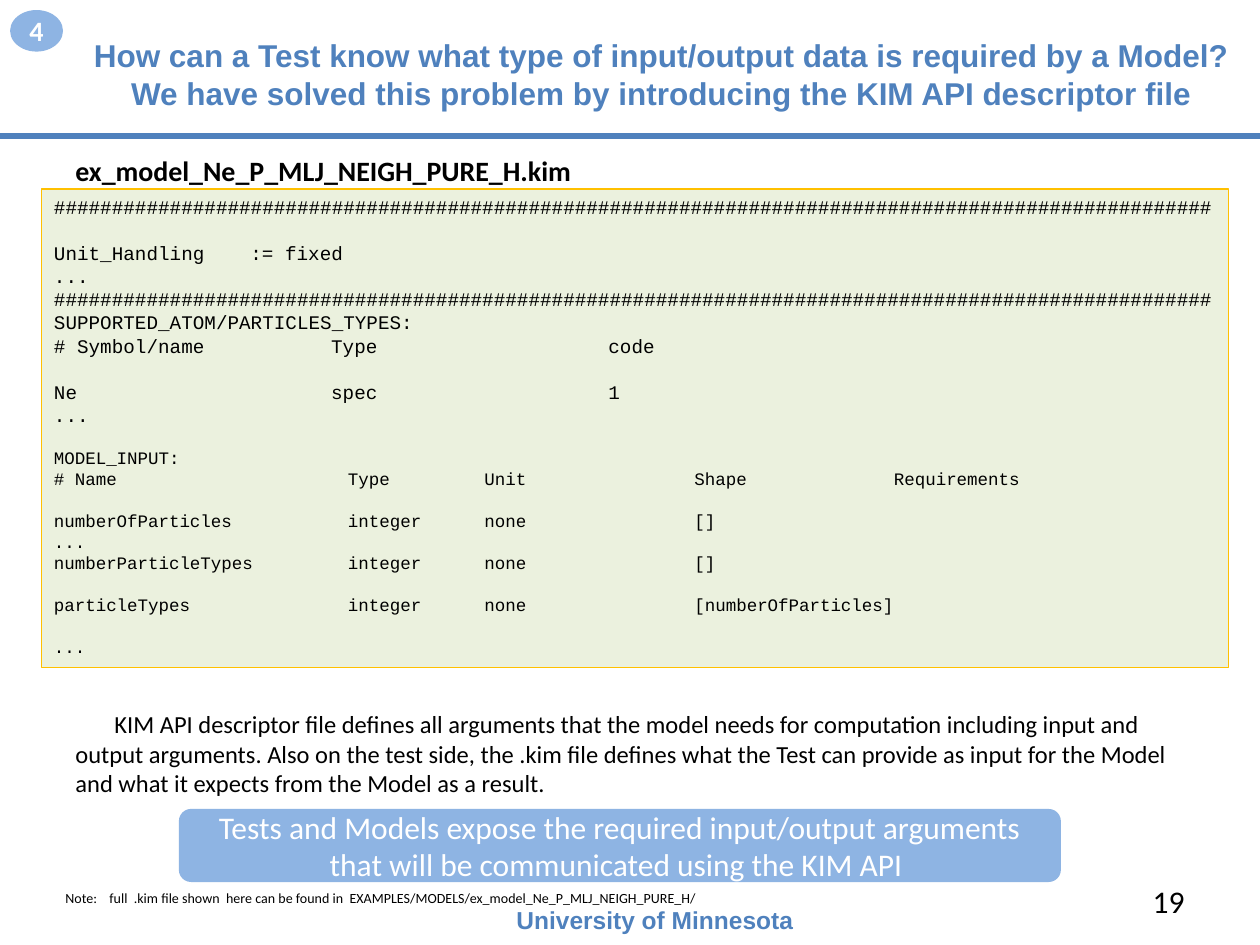
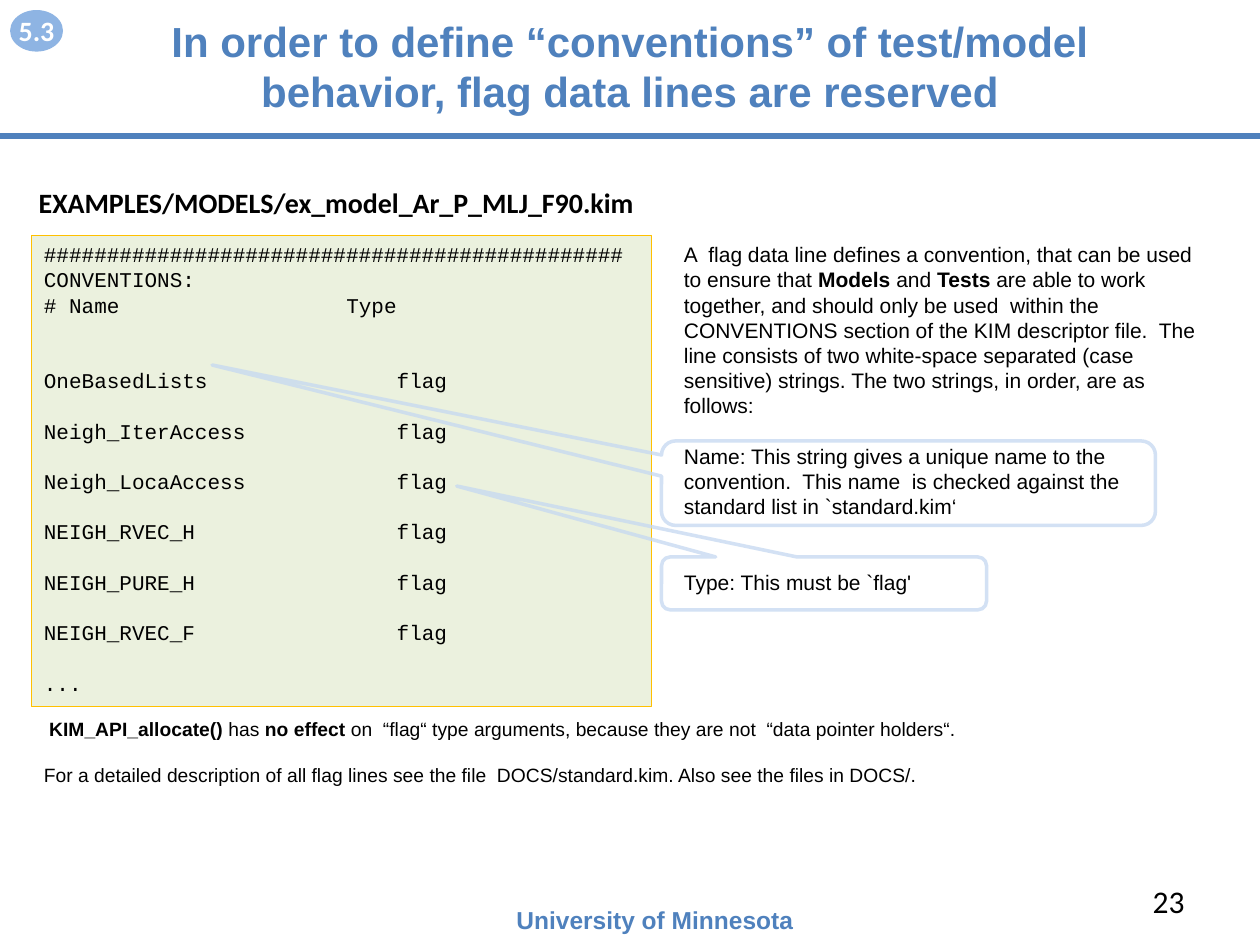
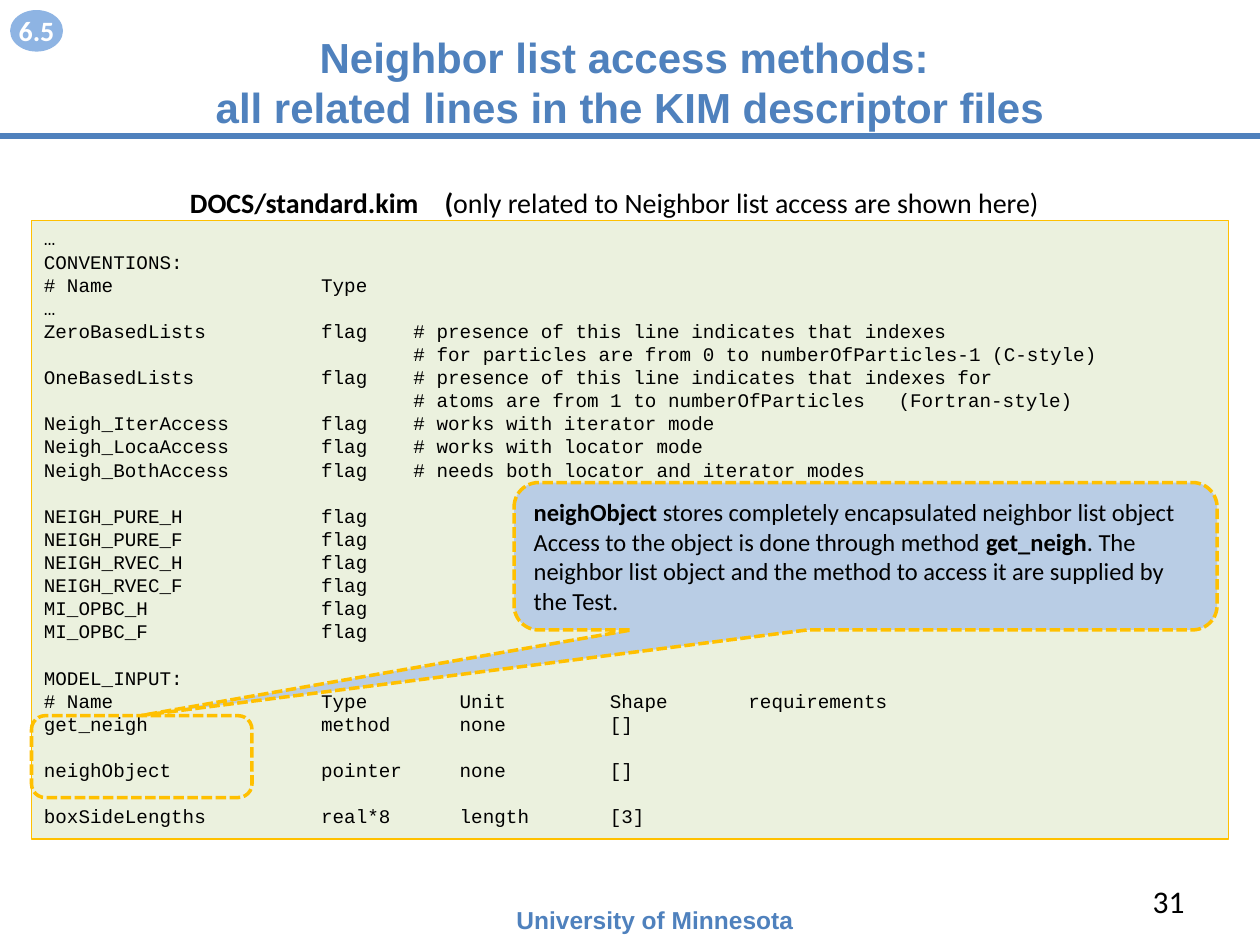
from dataclasses import dataclass

from lxml.etree import SubElement
from pptx import Presentation
from pptx.dml.color import RGBColor
from pptx.enum.dml import MSO_LINE
from pptx.enum.shapes import MSO_CONNECTOR, MSO_SHAPE
from pptx.enum.text import MSO_ANCHOR, PP_ALIGN
from pptx.oxml.ns import qn
from pptx.util import Inches, Pt


@dataclass(frozen=True)
class Theme:
    accent: str = "4F81BD"
    badge: str = "8EB4E3"
    code_fill: str = "EBF1DE"
    code_line: str = "FFC000"
    callout_line: str = "C6D9F1"
    callout_fill: str = "B9CDE5"
    ink: str = "000000"
    paper: str = "FFFFFF"
    heading_font: str = "Arial"
    body_font: str = "Calibri"
    code_font: str = "Courier New"
    heading_size: int = 16
    body_size: int = 14
    large_size: int = 18
    line_height: float = 1.2
    code_advance: float = 0.6


THEME = Theme()
FOOTER = "University of Minnesota"

# Content. In text, ** switches bold and a number in a list skips that many lines.
# Code sections are (type size, tab columns in characters, lines).
DESCRIPTOR = {
    "badge": "4", "number": "19",
    "title": ["How can a Test know what type of input/output data is required by a Model?",
              "We have solved this problem by introducing the KIM API descriptor file"],
    "title_box": (0.5, 0.25, 9.5, 0.67), "title_size": 18,
    "code_box": (0.33, 1.5, 9.42, 3.8),
    "code": [
        (11, (17,), ["#" * 100, 1, "Unit_Handling\t:= fixed", "...", "#" * 100]),
        (11, (24, 48), ["SUPPORTED_ATOM/PARTICLES_TYPES:", "# Symbol/name\tType\tcode", 1,
                        "Ne\tspec\t1", "..."]),
        (10, (28, 41, 61, 80), [
            1, "MODEL_INPUT:", "# Name\tType\tUnit\tShape\tRequirements", 1,
            "numberOfParticles\tinteger\tnone\t[]", "...",
            "numberParticleTypes\tinteger\tnone\t[]", 1,
            "particleTypes\tinteger\tnone\t[numberOfParticles]", 1, "..."]),
    ],
}
DESCRIPTOR_FILE = "**ex_model_Ne_P_MLJ_NEIGH_PURE_H.kim**"
DESCRIPTOR_NOTE = ("Note:\tfull  .kim file shown  here can be found in  "
                   "EXAMPLES/MODELS/ex_model_Ne_P_MLJ_NEIGH_PURE_H/")
DESCRIPTOR_SUMMARY = (
    "KIM API descriptor file defines all arguments that the model needs for computation "
    "including input and output arguments. Also on the test side, the .kim file defines what "
    "the Test can provide as input for the Model and what it expects from the Model as a result.")
DESCRIPTOR_BANNER = ("Tests and Models expose the required input/output arguments "
                     "that will be communicated using the KIM API ")

FLAGS = {
    "badge": "5.3", "number": "23",
    "title": ["In order to define “conventions” of test/model behavior, "
              "flag data lines are reserved"],
    "title_box": (0.5, 0.12, 9, 0.8), "title_size": 24,
    "code_box": (0.25, 1.87, 4.92, 3.74),
    "code": [
        (12, (24,), ["#" * 46, "CONVENTIONS:", "# Name\tType"]),
        (12, (28,), [2, "OneBasedLists\tflag", 1, "Neigh_IterAccess\tflag", 1,
                     "Neigh_LocaAccess\tflag", 1, "NEIGH_RVEC_H\tflag", 1,
                     "NEIGH_PURE_H\tflag", 1, "NEIGH_RVEC_F\tflag", 1, "..."]),
    ],
}
FLAGS_FILE = "**EXAMPLES/MODELS/ex_model_Ar_P_MLJ_F90.kim**"
FLAGS_RULES = [
    "A  flag data line defines a convention, that can be used to ensure that **Models** and "
    "**Tests** are able to work together, and should only be used  within the CONVENTIONS "
    "section of the KIM descriptor file.  The line consists of two white-space separated "
    "(case sensitive) strings. The two strings, in order, are as follows:", 1,
    "Name: This string gives a unique name to the convention.  This name  is checked against "
    "the standard list in `standard.kim‘", 2,
    "Type: This must be `flag'"]
FLAGS_NOTES = [
    " **KIM_API_allocate() **has **no effect **on  “flag“ type arguments, because they are "
    "not  “data pointer holders“.", 1,
    "For a detailed description of all flag lines see the file  DOCS/standard.kim. "
    "Also see the files in DOCS/."]
FLAGS_CALLOUTS = [  # box, pointer tip beside the word it explains
    ((5.25, 4.42, 2.58, 0.42), (-1.13, -1.84)),
    ((5.25, 3.5, 3.92, 0.67), (-1.41, -1.4)),
]

NEIGHBORS = {
    "badge": "6.5", "number": "31",
    "title": ["Neighbor list access methods: ", "all related lines in the KIM descriptor files"],
    "title_box": (0.5, 0.25, 9, 0.8), "title_size": 24,
    "code_box": (0.25, 1.75, 9.5, 4.91),
    "code": [
        (11, (24, 32, 74), [
            "…", "CONVENTIONS:", "# Name\tType", "…",
            "ZeroBasedLists\tflag\t# presence of this line indicates that indexes",
            "\t\t# for particles are from 0 to numberOfParticles-1 (C-style)",
            "OneBasedLists\tflag\t# presence of this line indicates that indexes for",
            "\t\t# atoms are from 1 to numberOfParticles\t(Fortran-style)",
            "Neigh_IterAccess\tflag\t# works with iterator mode",
            "Neigh_LocaAccess\tflag\t# works with locator mode",
            "Neigh_BothAccess\tflag\t# needs both locator and iterator modes", 1,
            "NEIGH_PURE_H\tflag", "NEIGH_PURE_F\tflag", "NEIGH_RVEC_H\tflag",
            "NEIGH_RVEC_F\tflag", "MI_OPBC_H\tflag", "MI_OPBC_F\tflag"]),
        (11, (24, 36, 49, 61), [
            1, "MODEL_INPUT:", "# Name\tType\tUnit\tShape\trequirements",
            "get_neigh\tmethod\tnone\t[]", 1, "neighObject\tpointer\tnone\t[]", 1,
            "boxSideLengths\treal*8\tlength\t[3]"]),
    ],
}
NEIGHBORS_FILE = "**DOCS/standard.kim\t(**only related to Neighbor list access are shown here)"
NEIGHBORS_CALLOUT = [
    "**neighObject** stores completely encapsulated neighbor list object",
    "Access to the object is done through method **get_neigh**. The neighbor list object and "
    "the method to access it are supplied by the Test."]


def color(value):
    return RGBColor.from_string(value)


def inches(box):
    return [Inches(length) for length in box]


def write(frame, lines, size, font=THEME.body_font, ink=THEME.ink, align=PP_ALIGN.LEFT,
          bold=False, tabs=(), indent=0):
    """Append one paragraph per text; numbers become space above the next one."""
    spacing = size * THEME.line_height
    gap = 0
    for line in lines:
        if isinstance(line, int):
            gap = line
            continue
        paragraph = frame.paragraphs[-1]
        if paragraph.runs:
            paragraph = frame.add_paragraph()
        paragraph.alignment = align
        paragraph.line_spacing = Pt(spacing)
        paragraph.space_before = Pt(gap * spacing)
        gap = 0
        properties = paragraph._p.get_or_add_pPr()
        if indent:
            properties.set("indent", str(Inches(indent)))
        if tabs:
            tab_list = SubElement(properties, qn("a:tabLst"))
            for position in tabs:
                SubElement(tab_list, qn("a:tab"), pos=str(Inches(position)), algn="l")
        for index, text in enumerate(line.split("**")):
            if text:
                run = paragraph.add_run()
                run.text = text
                run.font.name, run.font.size = font, Pt(size)
                run.font.bold = bold or index % 2 == 1
                run.font.color.rgb = color(ink)


def add_text(slide, box, lines, size, anchor=MSO_ANCHOR.TOP, tight=False, **style):
    frame = slide.shapes.add_textbox(*inches(box)).text_frame
    frame.word_wrap = True
    frame.vertical_anchor = anchor
    if tight:
        frame.margin_top = frame.margin_bottom = 0
    write(frame, lines, size, **style)


def add_box(slide, kind, box, fill=None, line=None, width=0.75, dashed=False):
    shape = slide.shapes.add_shape(kind, *inches(box))
    shape.shadow.inherit = False
    if fill:
        shape.fill.solid()
        shape.fill.fore_color.rgb = color(fill)
    else:
        shape.fill.background()
    if line:
        shape.line.color.rgb = color(line)
        shape.line.width = Pt(width)
        if dashed:
            shape.line.dash_style = MSO_LINE.SQUARE_DOT
    else:
        shape.line.fill.background()
    shape.text_frame.word_wrap = True
    return shape


def add_callout(slide, box, tip, **style):
    callout = add_box(slide, MSO_SHAPE.ROUNDED_RECTANGULAR_CALLOUT, box, width=2, **style)
    callout.adjustments[0], callout.adjustments[1] = tip
    return callout


def add_label(slide, kind, box, text, size, bold=False):
    """Filled badge or banner with white centred text."""
    frame = add_box(slide, kind, box, fill=THEME.badge).text_frame
    frame.vertical_anchor = MSO_ANCHOR.MIDDLE
    frame.margin_top = frame.margin_bottom = 0
    if kind == MSO_SHAPE.OVAL:
        frame.margin_left = frame.margin_right = 0
    write(frame, [text], size, ink=THEME.paper, align=PP_ALIGN.CENTER, bold=bold)


def add_code(slide, box, sections):
    shape = add_box(slide, MSO_SHAPE.RECTANGLE, box, THEME.code_fill, THEME.code_line)
    shape.text_frame.vertical_anchor = MSO_ANCHOR.TOP
    for size, columns, lines in sections:
        tabs = [column * size * THEME.code_advance / 72 for column in columns]
        write(shape.text_frame, lines, size, font=THEME.code_font, tabs=tabs)


def add_page(presentation, content):
    """Slide with title, rule, badge, footer, number and code listing."""
    slide = presentation.slides.add_slide(presentation.slide_layouts[6])
    heading = dict(font=THEME.heading_font, ink=THEME.accent, bold=True)
    add_text(slide, content["title_box"], content["title"], content["title_size"],
             anchor=MSO_ANCHOR.MIDDLE, tight=True, align=PP_ALIGN.CENTER, **heading)
    rule = slide.shapes.add_connector(MSO_CONNECTOR.STRAIGHT, *inches((0, 1.08, 10, 1.08)))
    rule.line.color.rgb = color(THEME.accent)
    rule.line.width = Pt(3)
    SubElement(rule._element.spPr, qn("a:effectLst"))
    add_label(slide, MSO_SHAPE.OVAL, (0.08, 0.08, 0.42, 0.33), content["badge"],
              THEME.heading_size, bold=True)
    add_text(slide, (4, 7.13, 2.67, 0.34), [FOOTER], THEME.body_size, **heading)
    add_text(slide, (7.17, 6.95, 2.33, 0.4), [content["number"]], THEME.large_size,
             anchor=MSO_ANCHOR.MIDDLE, align=PP_ALIGN.RIGHT)
    add_code(slide, content["code_box"], content["code"])
    return slide


def build_descriptor(presentation):
    slide = add_page(presentation, DESCRIPTOR)
    add_text(slide, (0.5, 1.17, 4.33, 0.37), [DESCRIPTOR_FILE], THEME.heading_size)
    add_text(slide, (0.42, 7.01, 7.42, 0.24), [DESCRIPTOR_NOTE], 8, tabs=[0.35])
    add_text(slide, (0.5, 5.58, 9.08, 1.08), [DESCRIPTOR_SUMMARY], THEME.body_size, indent=0.31)
    add_label(slide, MSO_SHAPE.ROUNDED_RECTANGLE, (1.42, 6.42, 7, 0.58), DESCRIPTOR_BANNER,
              THEME.large_size)


def build_flags(presentation):
    slide = add_page(presentation, FLAGS)
    add_text(slide, (5.33, 1.87, 4.33, 2.93), FLAGS_RULES, 12, font=THEME.heading_font)
    for box, tip in FLAGS_CALLOUTS:
        callout = add_callout(slide, box, tip, line=THEME.callout_line)
        line_color = callout._element.spPr.find(qn("a:ln")).find(".//" + qn("a:srgbClr"))
        SubElement(line_color, qn("a:alpha"), val="77000")
    add_text(slide, (0.25, 5.64, 9.17, 1.03), FLAGS_NOTES, 11, font=THEME.heading_font)
    add_text(slide, (0.17, 1.42, 5, 0.37), [FLAGS_FILE], THEME.heading_size,
             align=PP_ALIGN.CENTER)


def build_neighbors(presentation):
    slide = add_page(presentation, NEIGHBORS)
    add_text(slide, (1.41, 1.42, 7.4, 0.37), [NEIGHBORS_FILE], THEME.heading_size, tabs=[2.02])
    # The tail runs between the header words to the top edge of the highlight frame
    callout = add_callout(slide, (4.08, 3.83, 5.58, 1.17), (-1.03, 1.08),
                          fill=THEME.callout_fill, line=THEME.code_line, dashed=True)
    callout.text_frame.vertical_anchor = MSO_ANCHOR.MIDDLE
    write(callout.text_frame, NEIGHBORS_CALLOUT, THEME.body_size)
    add_box(slide, MSO_SHAPE.ROUNDED_RECTANGLE, (0.25, 5.68, 1.75, 0.65),
            line=THEME.code_line, width=2, dashed=True)


def main():
    presentation = Presentation()
    presentation.slide_width, presentation.slide_height = Inches(10), Inches(7.5)
    for build in (build_descriptor, build_flags, build_neighbors):
        build(presentation)
    presentation.save("out.pptx")


if __name__ == "__main__":
    main()
